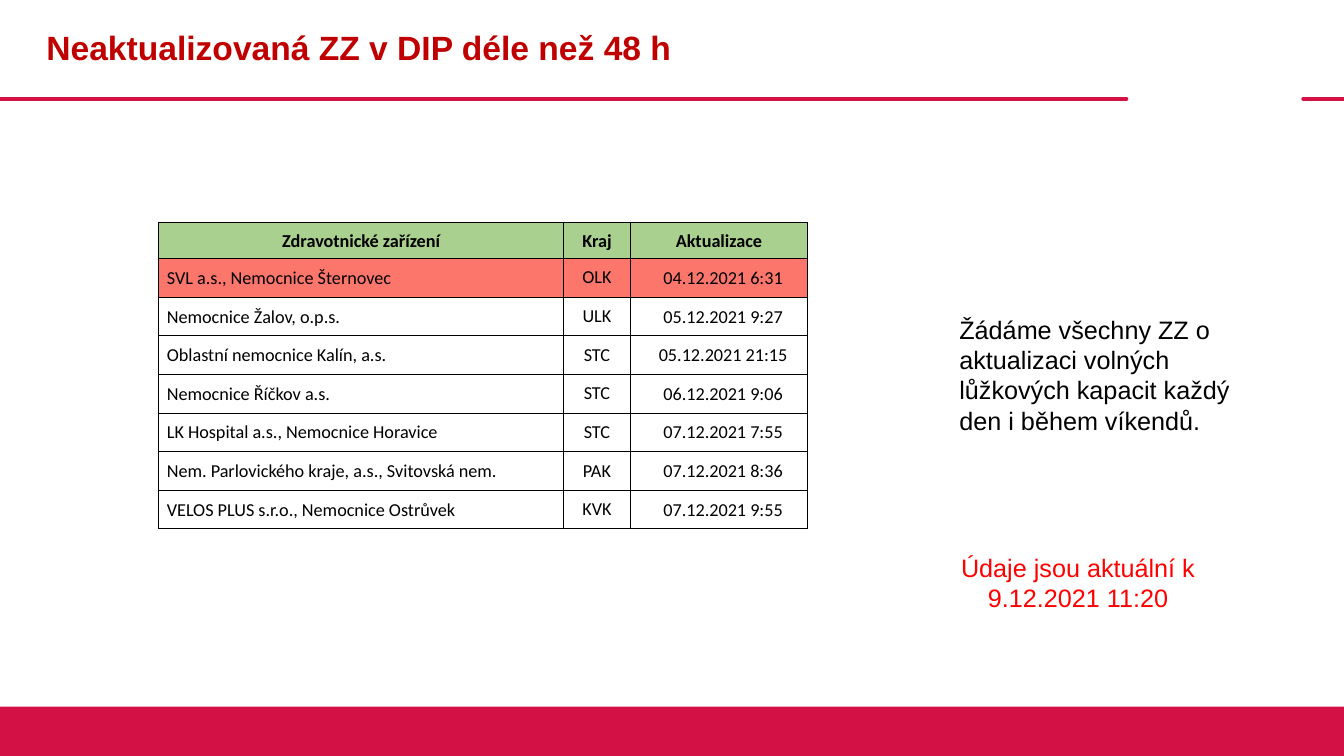
from lxml.etree import SubElement
from pptx import Presentation
from pptx.dml.color import RGBColor
from pptx.enum.shapes import MSO_CONNECTOR, MSO_SHAPE
from pptx.enum.text import MSO_ANCHOR, MSO_AUTO_SIZE, PP_ALIGN
from pptx.oxml.ns import qn
from pptx.util import Pt

CRIMSON = RGBColor(0xD3, 0x11, 0x45)
DARK_RED = RGBColor(0xC0, 0x00, 0x00)
RED = RGBColor(0xFF, 0x00, 0x00)
BLACK = RGBColor(0x00, 0x00, 0x00)
WHITE = RGBColor(0xFF, 0xFF, 0xFF)
GREEN = RGBColor(0xA9, 0xD0, 0x8E)
SALMON = RGBColor(0xFC, 0x76, 0x6C)

TITLE = "Neaktualizovaná ZZ v DIP déle než 48 h"
ROWS = [
    ("Zdravotnické zařízení", "Kraj", "Aktualizace"),
    ("SVL a.s., Nemocnice Šternovec", "OLK", "04.12.2021 6:31"),
    ("Nemocnice Žalov, o.p.s.", "ULK", "05.12.2021 9:27"),
    ("Oblastní nemocnice Kalín, a.s.", "STC", "05.12.2021 21:15"),
    ("Nemocnice Říčkov a.s.", "STC", "06.12.2021 9:06"),
    ("LK Hospital a.s., Nemocnice Horavice", "STC", "07.12.2021 7:55"),
    ("Nem. Parlovického kraje, a.s., Svitovská nem.", "PAK", "07.12.2021 8:36"),
    ("VELOS PLUS s.r.o., Nemocnice Ostrůvek", "KVK", "07.12.2021 9:55"),
]
NOTES = [
    ("Údaje jsou aktuální k 9.12.2021 11:20", 678.2, 391, 183.6, 51, PP_ALIGN.CENTER, RED),
    ("Žádáme všechny ZZ o aktualizaci volných lůžkových kapacit každý den i během víkendů.",
     678.2, 221, 215.3, 94.5, PP_ALIGN.LEFT, BLACK),
]
WIDTH, HEIGHT = 960, 540
RULE_Y = 70.6
RULES = [(0, 804.5), (931, WIDTH)]
FOOTER_TOP = 504.7
TABLE_LEFT, TABLE_TOP = 113.4, 159.2
COL_WIDTHS = [289, 48, 126.3]
HEADER_HEIGHT, ROW_HEIGHT = 25.4, 27.6
HEADER_MARGINS = (0.7, 0.7, 0.7, 0)
BODY_MARGINS = [(5.8, 0.7, 0.7, 0), (0.7, 5.8, 0.7, 5.8), (6.5, 0.7, 0.7, 0)]


def style(p, text, font, size, color, align, bold=False):
    p.text = text
    p.alignment = align
    p.font.name, p.font.size = font, Pt(size)
    p.font.bold = bold
    p.font.color.rgb = color


def add_borders(cell, top, bottom):
    tc_pr = cell._tc.get_or_add_tcPr()
    for side, width in (("L", 1), ("R", 1), ("T", top), ("B", bottom)):
        ln = SubElement(tc_pr, qn(f"a:ln{side}"), w=str(int(Pt(width))))
        fill = SubElement(ln, qn("a:solidFill"))
        SubElement(fill, qn("a:srgbClr"), val=str(BLACK))


def add_rule(s, x1, x2):
    rule = s.shapes.add_connector(MSO_CONNECTOR.STRAIGHT, Pt(x1), Pt(RULE_Y), Pt(x2), Pt(RULE_Y))
    rule.line.color.rgb = CRIMSON
    rule.line.width = Pt(3)
    sp_pr = rule._element.spPr
    sp_pr.find(qn("a:ln")).set("cap", "rnd")
    SubElement(sp_pr, qn("a:effectLst"))


def add_table(s):
    heights = [HEADER_HEIGHT] + [ROW_HEIGHT] * (len(ROWS) - 1)
    table = s.shapes.add_table(len(ROWS), len(COL_WIDTHS), Pt(TABLE_LEFT), Pt(TABLE_TOP),
                               Pt(sum(COL_WIDTHS)), Pt(sum(heights))).table
    table.first_row = table.horz_banding = False
    for col, width in zip(table.columns, COL_WIDTHS):
        col.width = Pt(width)
    for i, values in enumerate(ROWS):
        table.rows[i].height = Pt(heights[i])
        header = i == 0
        for j, text in enumerate(values):
            cell = table.cell(i, j)
            margins = HEADER_MARGINS if header else BODY_MARGINS[j]
            cell.margin_left, cell.margin_top, cell.margin_right, cell.margin_bottom = map(Pt, margins)
            cell.vertical_anchor = MSO_ANCHOR.MIDDLE
            align = PP_ALIGN.CENTER if header or j else PP_ALIGN.LEFT
            style(cell.text_frame.paragraphs[0], text, "Calibri", 13, BLACK, align, header)
            add_borders(cell, 1 if i < 2 else 0.5, 1 if header else 0.5)
            cell.fill.solid()
            cell.fill.fore_color.rgb = {0: GREEN, 1: SALMON}.get(i, WHITE)


def main():
    prs = Presentation()
    prs.slide_width, prs.slide_height = Pt(WIDTH), Pt(HEIGHT)
    s = prs.slides.add_slide(prs.slide_layouts[5])

    title = s.shapes.title
    title.left, title.top, title.width, title.height = map(Pt, (25.9, 0, 778.3, RULE_Y))
    tf = title.text_frame
    tf.auto_size = MSO_AUTO_SIZE.NONE
    tf.vertical_anchor = MSO_ANCHOR.MIDDLE
    style(tf.paragraphs[0], TITLE, "Arial", 24, DARK_RED, PP_ALIGN.LEFT, True)
    tf.paragraphs[0].line_spacing = 0.9

    for x1, x2 in RULES:
        add_rule(s, x1, x2)

    footer = s.shapes.add_shape(MSO_SHAPE.RECTANGLE, 0, Pt(FOOTER_TOP),
                                Pt(WIDTH), Pt(HEIGHT - FOOTER_TOP))
    footer.shadow.inherit = False
    footer.fill.solid()
    footer.fill.fore_color.rgb = CRIMSON
    footer.line.fill.background()

    for text, x, y, w, h, align, color in NOTES:
        tf = s.shapes.add_textbox(Pt(x), Pt(y), Pt(w), Pt(h)).text_frame
        tf.word_wrap = True
        tf.auto_size = MSO_AUTO_SIZE.SHAPE_TO_FIT_TEXT
        style(tf.paragraphs[0], text, "Arial", 18, color, align)

    add_table(s)
    prs.save("out.pptx")


if __name__ == "__main__":
    main()
